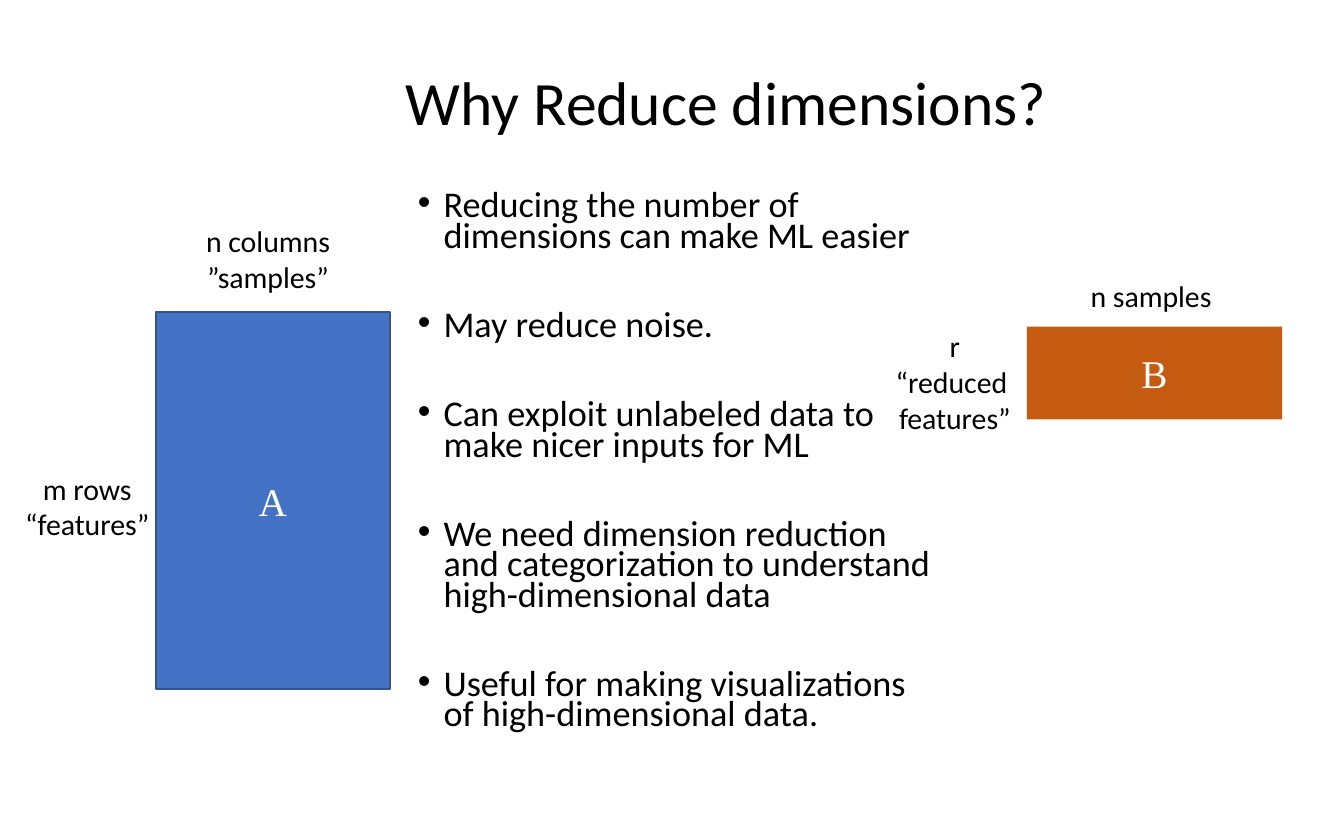
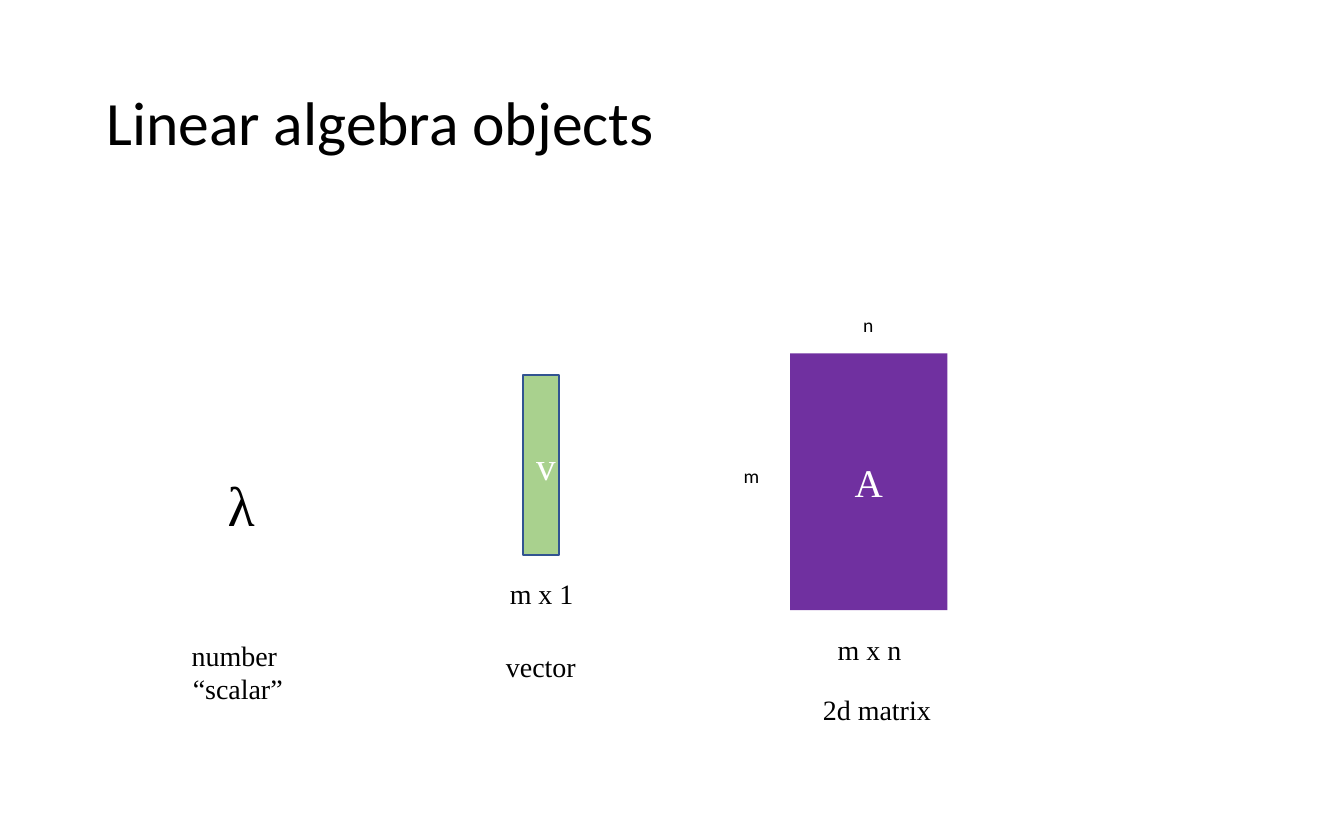
"""Build two slides on dimension reduction and linear algebra objects."""
from dataclasses import dataclass

from pptx import Presentation
from pptx.dml.color import RGBColor
from pptx.enum.shapes import MSO_SHAPE
from pptx.enum.text import MSO_ANCHOR, MSO_AUTO_SIZE, PP_ALIGN
from pptx.util import Pt

PX = 9144


@dataclass(frozen=True)
class Theme:
    sans: str = "Calibri"
    serif: str = "Times New Roman"
    ink: str = "000000"
    paper: str = "FFFFFF"
    blue: str = "4472C4"
    outline: str = "325491"
    orange: str = "C55A11"
    green: str = "A9D18E"
    purple: str = "7030A0"
    title: float = 33
    bullet: float = 19.4
    symbol: float = 30
    matrix: float = 21
    label: float = 16
    caption: float = 15
    dimension: float = 10.5


theme = Theme()


def place(item, box):
    item.left, item.top, item.width, item.height = [length * PX for length in box]


def write(frame, lines, size, font=theme.sans, color=theme.ink, align=PP_ALIGN.LEFT):
    for index, line in enumerate(lines):
        paragraph = frame.paragraphs[0] if index == 0 else frame.add_paragraph()
        paragraph.alignment = align
        run = paragraph.add_run()
        run.text = line
        run.font.size = Pt(size)
        run.font.name = font
        run.font.color.rgb = RGBColor.from_string(color)


deck = Presentation()
deck.slide_width, deck.slide_height = 1000 * PX, 625 * PX
reasons_slide = deck.slides.add_slide(deck.slide_layouts[1])
objects_slide = deck.slides.add_slide(deck.slide_layouts[5])

for slide, heading, box in [
    (reasons_slide, "Why Reduce dimensions?", (292, 24, 552, 109)),
    (objects_slide, "Linear algebra objects", (69, 33, 862, 121)),
]:
    slide.background.fill.solid()
    slide.background.fill.fore_color.rgb = RGBColor.from_string(theme.paper)
    title = slide.shapes.title
    place(title, box)
    title.text_frame.auto_size = MSO_AUTO_SIZE.NONE
    title.text_frame.vertical_anchor = MSO_ANCHOR.MIDDLE
    write(title.text_frame, [heading], theme.title)
    title.text_frame.paragraphs[0].line_spacing = 0.9

reasons = reasons_slide.placeholders[1]
place(reasons, (301, 139, 412, 413))
reasons.text_frame.auto_size = MSO_AUTO_SIZE.NONE
write(reasons.text_frame, [
    "Reducing the number of dimensions can make ML easier",
    "May reduce noise.",
    "Can exploit unlabeled data to make nicer inputs for ML",
    "We need dimension reduction and categorization to understand high-dimensional data",
    "Useful for making visualizations of high-dimensional data.",
], theme.bullet)
for index, reason in enumerate(reasons.text_frame.paragraphs):
    reason.line_spacing = 0.7
    reason.space_before = Pt(31.5 if index else 7.5)
    indents = reason._p.get_or_add_pPr()
    indents.set("marL", str(19 * PX))
    indents.set("indent", str(-19 * PX))

for slide, name, box, fill, outline in [
    (reasons_slide, "A", (116, 232, 174, 281), theme.blue, theme.outline),
    (reasons_slide, "B", (764, 243, 190, 69), theme.orange, None),
    (objects_slide, "v", (389, 279, 27, 134), theme.green, theme.outline),
    (objects_slide, "A", (588, 263, 117, 191), theme.purple, None),
]:
    matrix = slide.shapes.add_shape(MSO_SHAPE.RECTANGLE, 0, 0, 0, 0)
    place(matrix, box)
    matrix.shadow.inherit = False
    matrix.fill.solid()
    matrix.fill.fore_color.rgb = RGBColor.from_string(fill)
    if outline:
        matrix.line.color.rgb = RGBColor.from_string(outline)
        matrix.line.width = Pt(1)
    else:
        matrix.line.fill.background()
    matrix.text_frame.vertical_anchor = MSO_ANCHOR.MIDDLE
    write(matrix.text_frame, [name], theme.matrix, theme.serif, theme.paper, PP_ALIGN.CENTER)

for slide, lines, box, size, font in [
    (reasons_slide, ["m rows", "“features”"], (8, 345, 114, 64), theme.label, theme.sans),
    (reasons_slide, ["n columns", "”samples”"], (143, 161, 113, 64), theme.label, theme.sans),
    (reasons_slide, ["n samples"], (783, 202, 147, 37), theme.label, theme.sans),
    (reasons_slide, ["r", "“reduced ", "features”"], (656, 239, 109, 91), theme.label, theme.sans),
    (objects_slide, ["λ"], (159, 345, 41, 61), theme.symbol, theme.serif),
    (objects_slide, ["number ", "“scalar”"], (132, 470, 90, 61), theme.caption, theme.serif),
    (objects_slide, ["m x 1"], (369, 424, 68, 35), theme.caption, theme.serif),
    (objects_slide, ["vector"], (366, 478, 73, 35), theme.caption, theme.serif),
    (objects_slide, ["m x n"], (613, 466, 68, 35), theme.caption, theme.serif),
    (objects_slide, ["2d matrix"], (602, 510, 101, 35), theme.caption, theme.serif),
    (objects_slide, ["m"], (543, 340, 32, 28), theme.dimension, theme.sans),
    (objects_slide, ["n"], (632, 228, 28, 28), theme.dimension, theme.sans),
]:
    label = slide.shapes.add_textbox(0, 0, 0, 0)
    place(label, box)
    label.text_frame.word_wrap = False
    label.text_frame.auto_size = MSO_AUTO_SIZE.SHAPE_TO_FIT_TEXT
    write(label.text_frame, lines, size, font, align=PP_ALIGN.CENTER)

deck.save("out.pptx")
